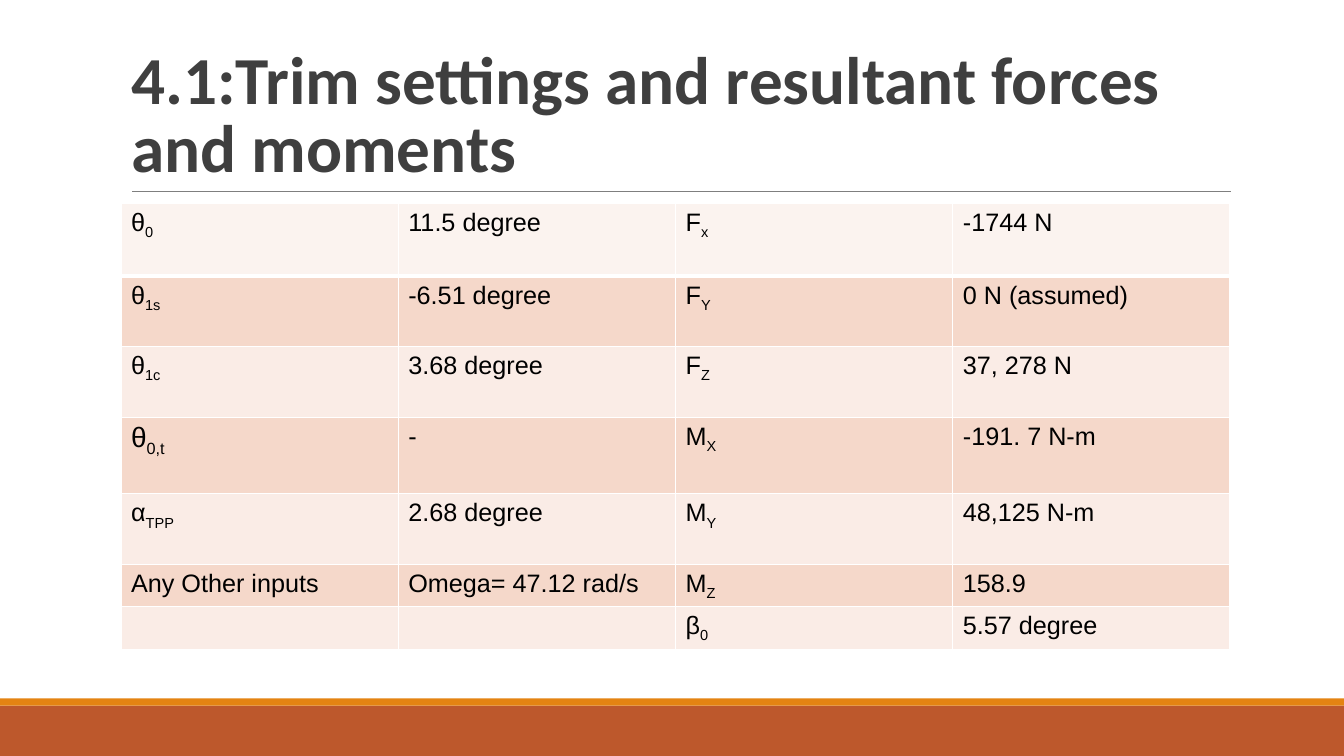
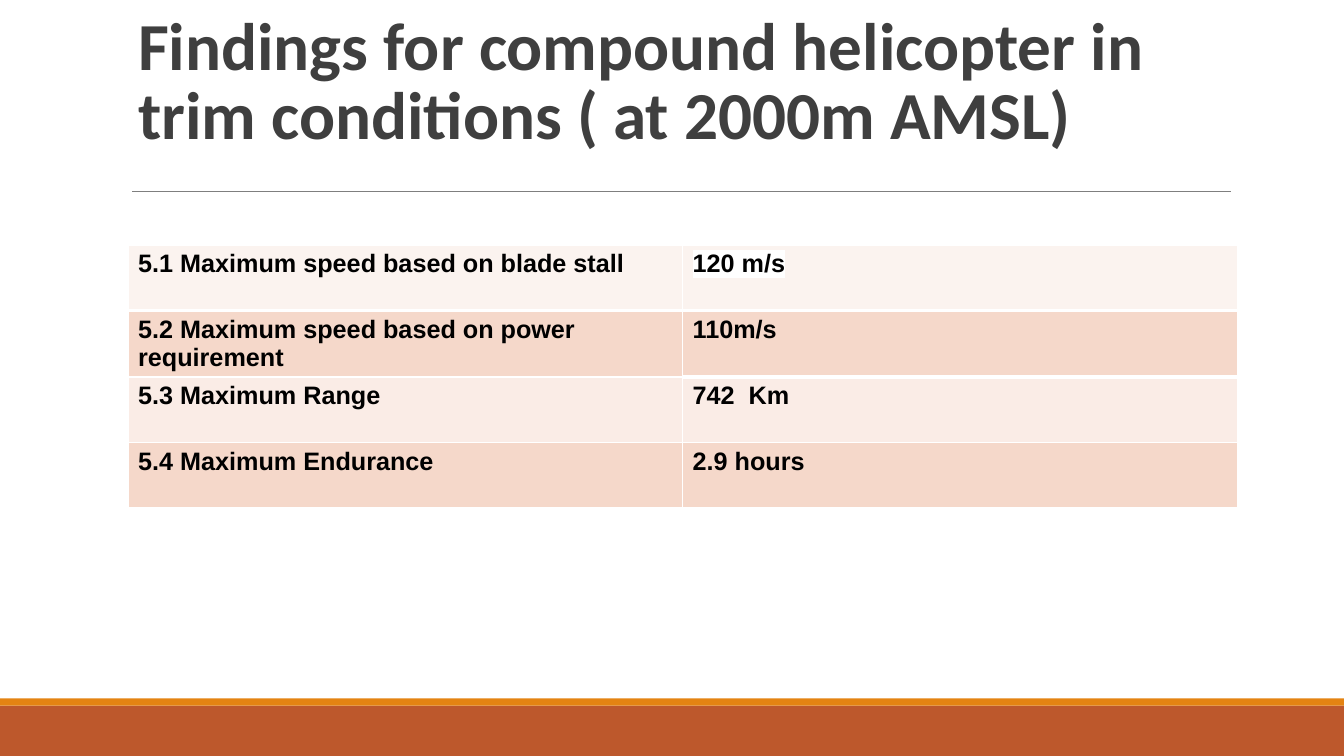
from lxml import etree
from pptx import Presentation
from pptx.dml.color import RGBColor
from pptx.enum.shapes import MSO_CONNECTOR, MSO_SHAPE
from pptx.enum.text import MSO_ANCHOR, MSO_AUTO_SIZE, PP_ALIGN
from pptx.oxml.ns import qn
from pptx.util import Inches, Pt

RECT = MSO_SHAPE.RECTANGLE
LINE = MSO_CONNECTOR.STRAIGHT
BOTTOM = MSO_ANCHOR.BOTTOM
FIXED = MSO_AUTO_SIZE.NONE
LEFT = PP_ALIGN.LEFT

COLORS = {
    "band": "BD582C",
    "strip": "E48312",
    "rule": "7F7F7F",
    "title": "3F3F3F",
    "text": "000000",
    "white": "FFFFFF",
    "head": "FBF3EF",
    "dark": "F5D8CA",
    "light": "FAECE6",
}

TRIM = [
    ["θ_0", "11.5 degree", "F_x", "-1744 N"],
    ["θ_1s", "-6.51 degree", "F_Y", "0 N (assumed)"],
    ["θ_1c", "3.68 degree", "F_Z", "37, 278 N"],
    ["θ_0,t", "-", "M_X", "-191. 7 N-m"],
    ["α_TPP", "2.68 degree", "M_Y", "48,125 N-m"],
    ["Any Other inputs", "Omega= 47.12 rad/s", "M_Z", "158.9"],
    ["", "", "β_0", "5.57 degree"],
]

FINDINGS = [
    ["5.1 Maximum speed based on blade stall", "120 m/s"],
    ["5.2 Maximum speed based on power requirement", "110m/s"],
    ["5.3 Maximum Range", "742  Km"],
    ["5.4 Maximum Endurance", "2.9 hours"],
]


def color(name):
    return RGBColor.from_string(COLORS[name])


class Deck:
    def __init__(self):
        self.prs = Presentation()
        self.prs.slide_width = Inches(13.33)
        self.prs.slide_height = Inches(7.5)
        self.slide = None

    def page(self, title, left, top, height):
        self.slide = self.prs.slides.add_slide(self.prs.slide_layouts[5])
        self.band(7, 0.5, "band")
        self.band(6.93, 0.07, "strip")
        self.rule(1.31, 12.21, 1.9)
        self.title(title, left, top, height)

    def band(self, top, height, fill):
        band = self.slide.shapes.add_shape(
            RECT, 0, Inches(top), self.prs.slide_width, Inches(height))
        band.shadow.inherit = False
        band.fill.solid()
        band.fill.fore_color.rgb = color(fill)
        band.line.fill.background()

    def rule(self, start, end, top):
        rule = self.slide.shapes.add_connector(
            LINE, Inches(start), Inches(top), Inches(end), Inches(top))
        rule.line.color.rgb = color("rule")
        rule.line.width = Pt(0.75)
        etree.SubElement(rule.element.spPr, qn("a:effectLst"))

    def title(self, text, left, top, height):
        title = self.slide.shapes.title
        title.left, title.top = Inches(left), Inches(top)
        title.width, title.height = Inches(11), Inches(height)
        frame = title.text_frame
        frame.text = text
        frame.word_wrap = True
        frame.auto_size = FIXED
        frame.vertical_anchor = BOTTOM
        para = frame.paragraphs[0]
        para.alignment = LEFT
        para.line_spacing = 0.85
        self.style(para.runs[0].font, "Calibri", 48, True, "title")

    def style(self, font, face, size, bold, tone):
        font.name = face
        font.size = Pt(size)
        font.bold = bold
        font.color.rgb = color(tone)

    def table(self, data, left, top, heights, bold=False, thick=()):
        count = len(data[0])
        table = self.slide.shapes.add_table(
            len(data), count, Inches(left), Inches(top),
            Inches(11), Inches(sum(heights))).table
        table.first_row = False
        table.horz_banding = False
        for col in table.columns:
            col.width = Inches(11 / count)
        for row, height in zip(table.rows, heights):
            row.height = Inches(height)

        def weight(row, col):
            return 3 if row == 0 or (row, col) in thick else 1

        for row, texts in enumerate(data):
            tone = "head" if row == 0 else "dark" if row % 2 else "light"
            for col, text in enumerate(texts):
                cell = table.cell(row, col)
                above = weight(row - 1, col) if row else 1
                self.edges(cell, above, weight(row, col))
                cell.fill.solid()
                cell.fill.fore_color.rgb = color(tone)
                self.label(cell, text, bold)
        return table

    def edges(self, cell, above, below):
        props = cell._tc.get_or_add_tcPr()
        for side, width in (("L", 1), ("R", 1), ("T", above), ("B", below)):
            edge = etree.SubElement(
                props, qn("a:ln" + side), w=str(Pt(width)))
            fill = etree.SubElement(edge, qn("a:solidFill"))
            etree.SubElement(fill, qn("a:srgbClr"), val=COLORS["white"])

    def label(self, cell, text, bold):
        para = cell.text_frame.paragraphs[0]
        for part, piece in enumerate(text.split("_") if text else []):
            run = para.add_run()
            run.text = piece
            self.style(run.font, "Arial", 18, bold, "text")
            if part:
                run._r.get_or_add_rPr().set("baseline", "-25000")

    def resize(self, cell, size):
        for run in cell.text_frame.paragraphs[0].runs:
            run.font.size = Pt(size)

    def mark(self, cell, tone):
        for run in cell.text_frame.paragraphs[0].runs:
            mark = etree.Element(qn("a:highlight"))
            etree.SubElement(mark, qn("a:srgbClr"), val=COLORS[tone])
            run._r.get_or_add_rPr().find(qn("a:latin")).addprevious(mark)


def main():
    deck = Deck()

    deck.page("4.1:Trim settings and resultant forces and moments",
              1.2, 0.31, 1.59)
    trim = deck.table(TRIM, 1.2, 2.02,
                      [0.72, 0.7, 0.7, 0.76, 0.7, 0.42, 0.42])
    deck.resize(trim.cell(3, 0), 20)

    deck.page("Findings for compound helicopter in trim conditions "
              "( at 2000m AMSL)", 1.27, 0.39, 1.18)
    found = deck.table(FINDINGS, 1.27, 2.43, [0.65] * 4,
                       bold=True, thick=[(1, 1)])
    deck.mark(found.cell(0, 1), "white")

    deck.prs.save("out.pptx")


if __name__ == "__main__":
    main()
